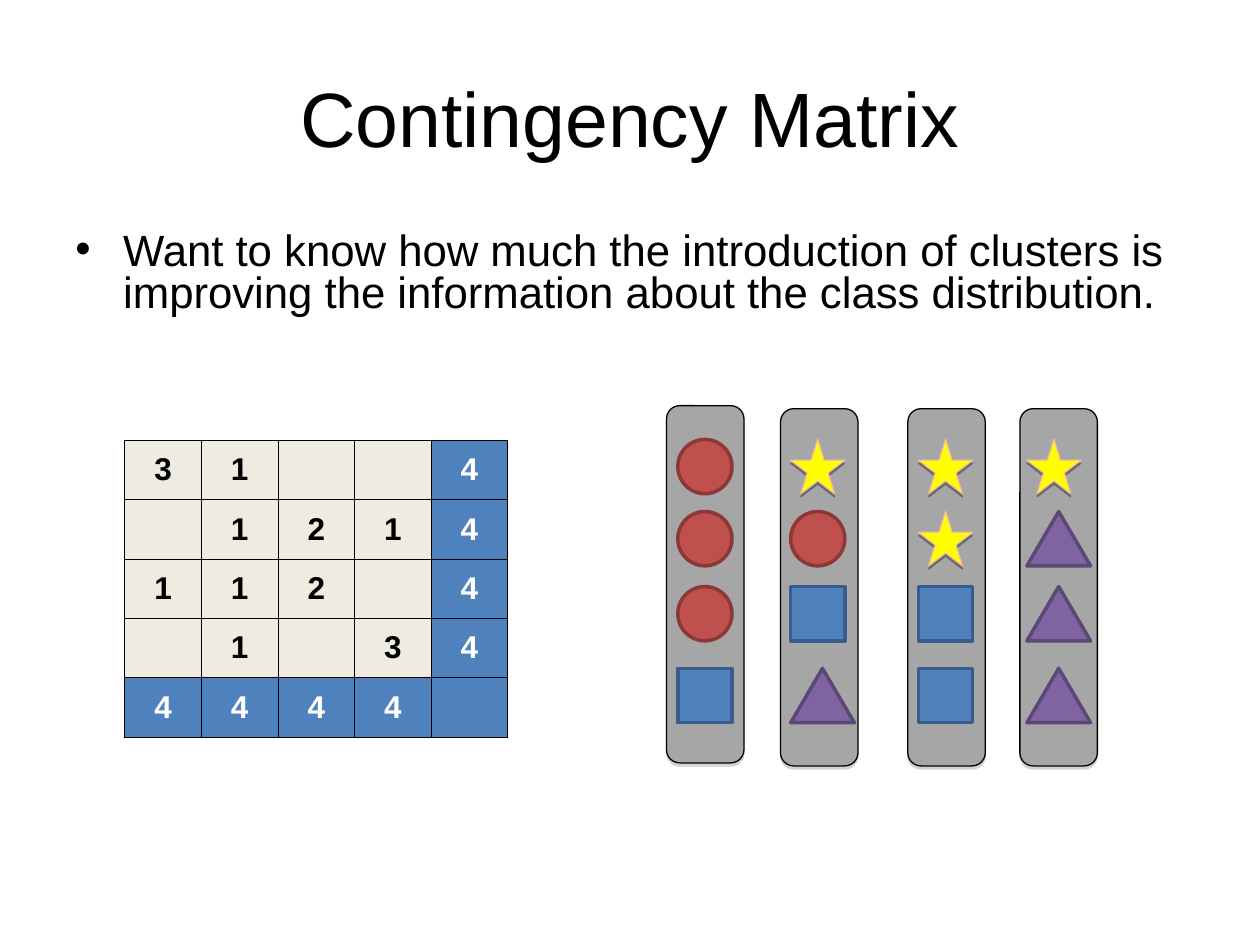
from lxml import etree
from pptx import Presentation
from pptx.dml.color import RGBColor
from pptx.enum.shapes import MSO_SHAPE
from pptx.enum.text import MSO_ANCHOR, PP_ALIGN
from pptx.oxml.ns import qn
from pptx.util import Emu, Inches, Pt

WIDTH, HEIGHT = Inches(10), Inches(7.5)
FONT = "Arial"
BLACK = RGBColor(0x00, 0x00, 0x00)
WHITE = RGBColor(0xFF, 0xFF, 0xFF)
GREY = RGBColor(0xA6, 0xA6, 0xA6)
SHADOW_GREY = RGBColor(0x80, 0x80, 0x80)
CREAM = RGBColor(0xEE, 0xEC, 0xE1)
BLUE = RGBColor(0x4F, 0x81, 0xBD)
DARK_BLUE = RGBColor(0x38, 0x5D, 0x8A)
RED = RGBColor(0xC0, 0x50, 0x4D)
DARK_RED = RGBColor(0x8C, 0x38, 0x36)
PURPLE = RGBColor(0x80, 0x64, 0xA2)
DARK_PURPLE = RGBColor(0x5C, 0x47, 0x76)
YELLOW = RGBColor(0xFF, 0xFF, 0x00)
PEACH = RGBColor(0xFA, 0xC0, 0x90)

CENTER = PP_ALIGN.CENTER
MIDDLE = MSO_ANCHOR.MIDDLE
ROUNDED = MSO_SHAPE.ROUNDED_RECTANGLE

# Kind: preset shape, width in percent, fill, line, line points, shadow
TOKENS = {
    "circle": (MSO_SHAPE.OVAL, 4.3, RED, DARK_RED, 2, None),
    "square": (MSO_SHAPE.RECTANGLE, 4.3, BLUE, DARK_BLUE, 2, None),
    "triangle": (MSO_SHAPE.ISOSCELES_TRIANGLE, 5.05, PURPLE, DARK_PURPLE, 2, None),
    "star": (MSO_SHAPE.STAR_5_POINT, 4.3, YELLOW, PEACH, 0.75, BLACK),
}
TOKEN_HEIGHT = 5.75
TOKEN_TOPS = (46.5, 54.13, 62.07, 70.73)

# Cluster: left and top of the bar, left of its tokens, tokens downwards
CLUSTERS = (
    (52.9, 42.93, 53.8, ("circle", "circle", "circle", "square")),
    (61.95, 43.25, 62.75, ("star", "circle", "square", "triangle")),
    (72.05, 43.25, 72.9, ("star", "star", "square", "square")),
    (80.95, 43.25, 81.5, ("star", "triangle", "triangle", "triangle")),
)
BAR_WIDTH, BAR_HEIGHT = 6.15, 37.8

COUNTS = (
    (3, 1, "", "", 4),
    ("", 1, 2, 1, 4),
    (1, 1, 2, "", 4),
    ("", 1, "", 3, 4),
    (4, 4, 4, 4, ""),
)


def frame(left, top, width, height):
    """Turn percentages of the slide's width and height into lengths."""
    shares = ((left, WIDTH), (top, HEIGHT), (width, WIDTH), (height, HEIGHT))
    return [Emu(round(share * whole / 100)) for share, whole in shares]


def style_font(font, size, color, bold=False):
    values = {"name": FONT, "size": Pt(size), "bold": bold}
    for name, value in values.items():
        setattr(font, name, value)
    font.color.rgb = color


def add_text(page, place, text, size):
    box = page.shapes.add_textbox(*frame(*place))
    box.text_frame.word_wrap = True
    para = box.text_frame.paragraphs[0]
    span = para.add_run()
    span.text = text
    style_font(span.font, size, BLACK)
    return box.text_frame, para


def add_bullet(para, indent):
    props = para._p.get_or_add_pPr()
    props.set("marL", str(indent))
    props.set("indent", str(-indent))
    etree.SubElement(props, qn("a:buFont"), typeface=FONT)
    etree.SubElement(props, qn("a:buChar"), char="•")


def add_shadow(shape, color):
    effects = shape._element.spPr.find(qn("a:effectLst"))
    shadow = etree.SubElement(effects, qn("a:outerShdw"), blurRad="0",
                              dist=str(Pt(1.8)), dir="5400000", rotWithShape="0")
    tint = etree.SubElement(shadow, qn("a:srgbClr"), val=str(color))
    etree.SubElement(tint, qn("a:alpha"), val="35000")


def add_figure(page, kind, place, fill, line, points, shadow):
    shape = page.shapes.add_shape(kind, *frame(*place))
    shape.shadow.inherit = False
    shape.fill.solid()
    shape.fill.fore_color.rgb = fill
    shape.line.color.rgb = line
    shape.line.width = Pt(points)
    if shadow is not None:
        add_shadow(shape, shadow)
    return shape


def add_cluster(page, left, top, token_left, kinds):
    bar = add_figure(page, ROUNDED, (left, top, BAR_WIDTH, BAR_HEIGHT),
                     GREY, BLACK, 0.75, SHADOW_GREY)
    bar.adjustments[0] = 0.17
    for kind, token_top in zip(kinds, TOKEN_TOPS):
        preset, width, *look = TOKENS[kind]
        place = (token_left, token_top, width, TOKEN_HEIGHT)
        add_figure(page, preset, place, *look)


def add_borders(cell):
    props = cell._tc.get_or_add_tcPr()
    for side in ("a:lnL", "a:lnR", "a:lnT", "a:lnB"):
        border = etree.SubElement(props, qn(side), w=str(Pt(0.45)))
        fill = etree.SubElement(border, qn("a:solidFill"))
        etree.SubElement(fill, qn("a:srgbClr"), val=str(BLACK))


def add_matrix(page, place, counts):
    """Add the counts as a table whose last row and column are totals."""
    last = len(counts) - 1
    table = page.shapes.add_table(len(counts), len(counts[0]), *frame(*place)).table
    for row, values in enumerate(counts):
        for column, value in enumerate(values):
            is_total = last in (row, column)
            cell = table.cell(row, column)
            add_borders(cell)
            cell.fill.solid()
            cell.fill.fore_color.rgb = BLUE if is_total else CREAM
            cell.vertical_anchor = MIDDLE
            para = cell.text_frame.paragraphs[0]
            para.text = str(value)
            para.alignment = CENTER
            style_font(para.font, 18, WHITE if is_total else BLACK, bold=True)


def main():
    deck = Presentation()
    deck.slide_width, deck.slide_height = WIDTH, HEIGHT
    page = deck.slides.add_slide(deck.slide_layouts[6])

    title, para = add_text(page, (5, 4, 90, 16.67), "Contingency Matrix", 44)
    title.vertical_anchor = MIDDLE
    para.alignment = CENTER

    body, para = add_text(
        page, (5, 23.33, 90, 15.33),
        "Want to know how much the introduction of clusters is improving "
        "the information about the class distribution.", 25)
    body.margin_top = Inches(0.1)
    para.line_spacing = 0.8
    add_bullet(para, Inches(0.38))

    add_matrix(page, (9.9, 46.6, 30.4, 31.4), COUNTS)
    for cluster in CLUSTERS:
        add_cluster(page, *cluster)
    deck.save("out.pptx")


if __name__ == "__main__":
    main()
